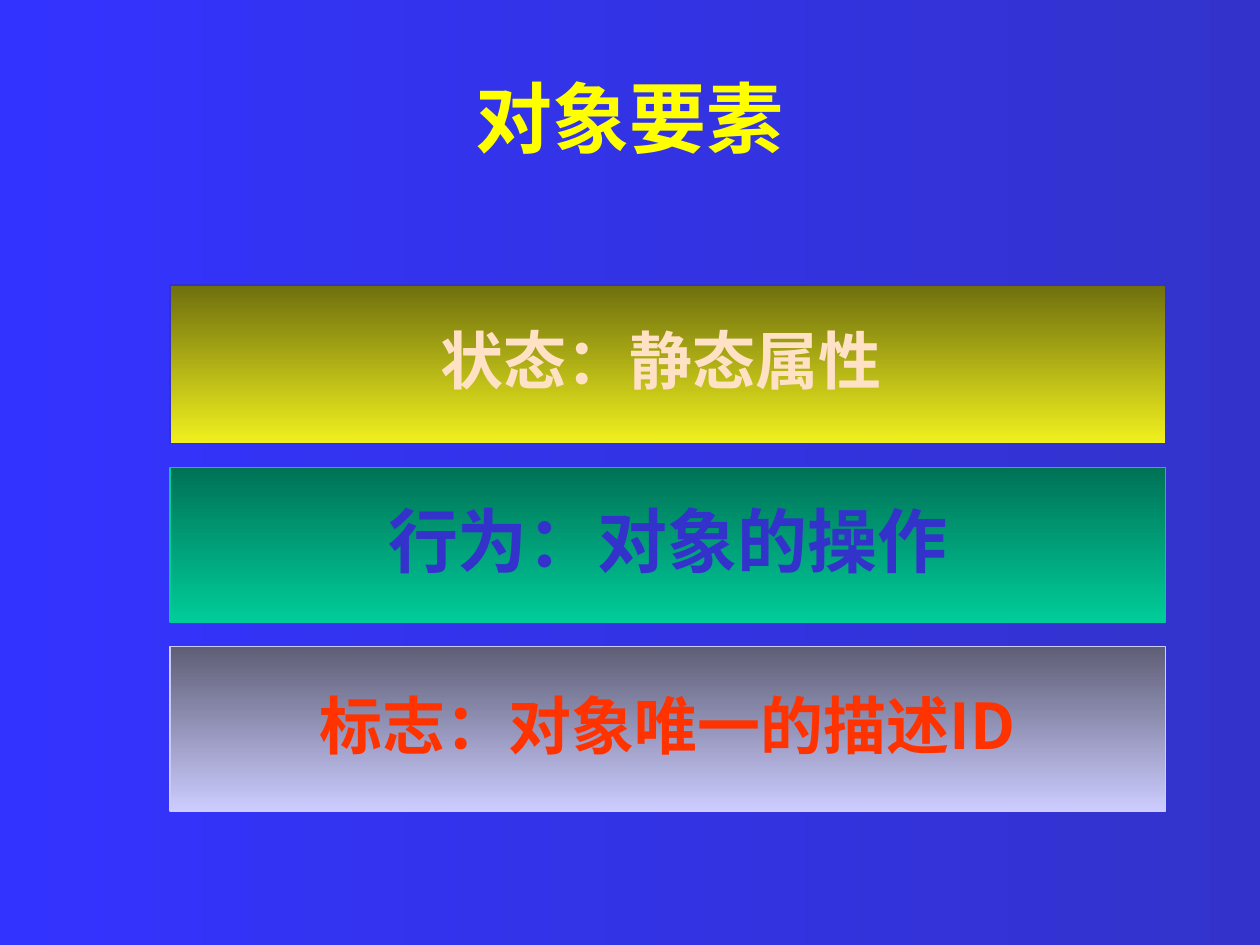
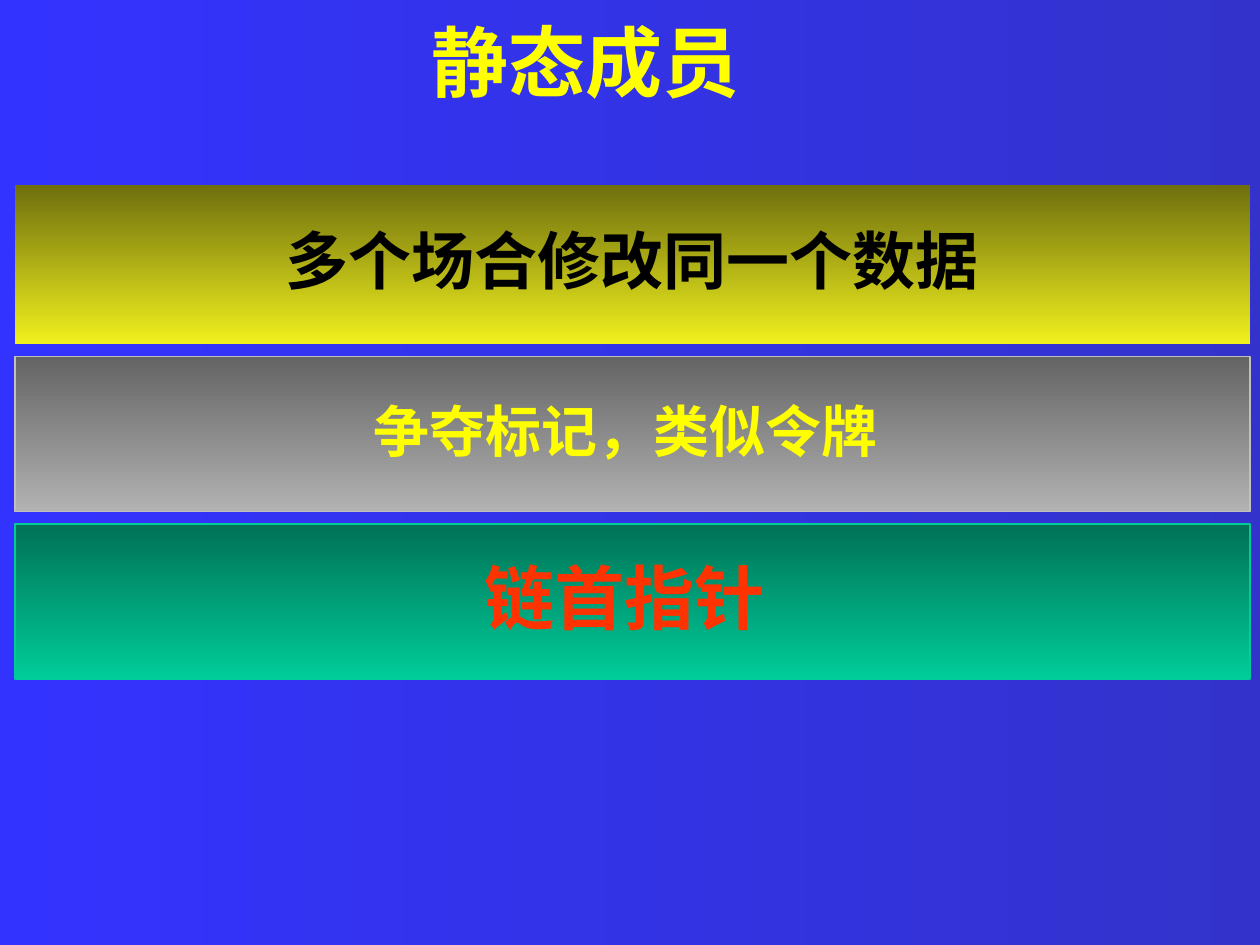
from dataclasses import dataclass
from typing import Optional

from lxml.etree import SubElement
from pptx import Presentation
from pptx.dml.color import RGBColor
from pptx.dml.fill import FillFormat
from pptx.enum.shapes import MSO_SHAPE
from pptx.enum.text import MSO_ANCHOR, PP_ALIGN
from pptx.oxml.ns import qn
from pptx.slide import Slide
from pptx.text.text import TextFrame
from pptx.util import Inches, Pt

COLUMNS, ROWS = 100, 75
SLIDE_WIDTH, SLIDE_HEIGHT = Inches(10), Inches(7.5)


@dataclass(frozen=True)
class Gradient:
    start: str
    end: str
    angle: int = 270


@dataclass(frozen=True)
class Theme:
    background: Gradient = Gradient("3333FF", "3333CC", 0)
    olive: Gradient = Gradient("6F6F0E", "F0F01E")
    green: Gradient = Gradient("007256", "00CC99")
    lavender: Gradient = Gradient("5E5E76", "CCCCFF")
    gray: Gradient = Gradient("646464", "B2B2B2")
    yellow: str = "FFFF00"
    peach: str = "FFE2C5"
    blue: str = "3333CC"
    red: str = "FF3300"
    black: str = "000000"
    silver: str = "C0C0C0"
    title_size: int = 44
    large_size: int = 40
    medium_size: int = 36
    small_size: int = 32
    chinese: str = "Noto Sans CJK SC"
    sans: str = "Arial"
    serif: str = "Times New Roman"
    bar_spacing: float = 0.9
    outline_width: int = 1


THEME = Theme()


@dataclass(frozen=True)
class Box:
    column: float
    row: float
    width: float
    height: float

    def lengths(self) -> tuple[int, int, int, int]:
        return (
            int(SLIDE_WIDTH * self.column / COLUMNS),
            int(SLIDE_HEIGHT * self.row / ROWS),
            int(SLIDE_WIDTH * self.width / COLUMNS),
            int(SLIDE_HEIGHT * self.height / ROWS),
        )


@dataclass(frozen=True)
class Label:
    text: str
    size: int
    color: str
    font: str = THEME.chinese


@dataclass(frozen=True)
class Bar:
    label: Label
    fill: Gradient
    outline: Optional[str]
    height: float = 12.3


@dataclass(frozen=True)
class BarStack:
    column: float
    row: float
    width: float
    gap: float
    bars: tuple[Bar, ...]


@dataclass(frozen=True)
class Page:
    title: Label
    title_box: Box
    stack: BarStack


PAGES = (
    Page(
        Label("对象要素", THEME.title_size, THEME.yellow),
        Box(0, 3, COLUMNS, 12.5),
        BarStack(13.5, 22.6, 79, 1.9, (
            Bar(Label("状态：静态属性 ", THEME.medium_size, THEME.peach, THEME.sans),
                THEME.olive, THEME.blue, 12.6),
            Bar(Label("行为：对象的操作", THEME.large_size, THEME.blue),
                THEME.green, THEME.green.end),
            Bar(Label("标志：对象唯一的描述ID", THEME.medium_size, THEME.red),
                THEME.lavender, THEME.lavender.end, 13.1),
        )),
    ),
    Page(
        Label("静态成员 ", THEME.title_size, THEME.yellow, THEME.serif),
        Box(-2.8, 1.3, COLUMNS, 7.1),
        BarStack(1.2, 14.7, 98, 1, (
            Bar(Label("多个场合修改同一个数据", THEME.medium_size, THEME.black, THEME.sans),
                THEME.olive, None, 12.6),
            Bar(Label("争夺标记，类似令牌 ", THEME.small_size, THEME.yellow, THEME.serif),
                THEME.gray, THEME.silver),
            Bar(Label("链首指针 ", THEME.large_size, THEME.red, THEME.serif),
                THEME.green, THEME.green.end),
        )),
    ),
)


def apply_gradient(fill: FillFormat, gradient: Gradient) -> None:
    fill.gradient()
    fill.gradient_angle = gradient.angle
    for stop, color in zip(fill.gradient_stops, (gradient.start, gradient.end)):
        stop.color.rgb = RGBColor.from_string(color)


def write_label(frame: TextFrame, label: Label, wrap: bool, spacing: float = 1.0) -> None:
    frame.word_wrap = wrap
    frame.vertical_anchor = MSO_ANCHOR.MIDDLE
    paragraph = frame.paragraphs[0]
    paragraph.text = label.text
    paragraph.alignment = PP_ALIGN.CENTER
    paragraph.line_spacing = spacing
    font = paragraph.font
    font.name = label.font
    font.size = Pt(label.size)
    font.bold = True
    font.color.rgb = RGBColor.from_string(label.color)
    defaults = paragraph._p.pPr.find(qn("a:defRPr"))
    SubElement(defaults, qn("a:ea"), typeface=THEME.chinese)


def draw_bar(slide: Slide, bar: Bar, box: Box) -> None:
    shape = slide.shapes.add_shape(MSO_SHAPE.RECTANGLE, *box.lengths())
    shape.shadow.inherit = False
    apply_gradient(shape.fill, bar.fill)
    if bar.outline:
        shape.line.color.rgb = RGBColor.from_string(bar.outline)
        shape.line.width = Pt(THEME.outline_width)
    else:
        shape.line.fill.background()
    write_label(shape.text_frame, bar.label, False, THEME.bar_spacing)


def draw_stack(slide: Slide, stack: BarStack) -> None:
    row = stack.row
    for bar in stack.bars:
        draw_bar(slide, bar, Box(stack.column, row, stack.width, bar.height))
        row += bar.height + stack.gap


def main() -> None:
    presentation = Presentation()
    presentation.slide_width = SLIDE_WIDTH
    presentation.slide_height = SLIDE_HEIGHT
    for page in PAGES:
        slide = presentation.slides.add_slide(presentation.slide_layouts[6])
        apply_gradient(slide.background.fill, THEME.background)
        title = slide.shapes.add_textbox(*page.title_box.lengths())
        write_label(title.text_frame, page.title, True)
        draw_stack(slide, page.stack)
    presentation.save("out.pptx")


if __name__ == "__main__":
    main()
